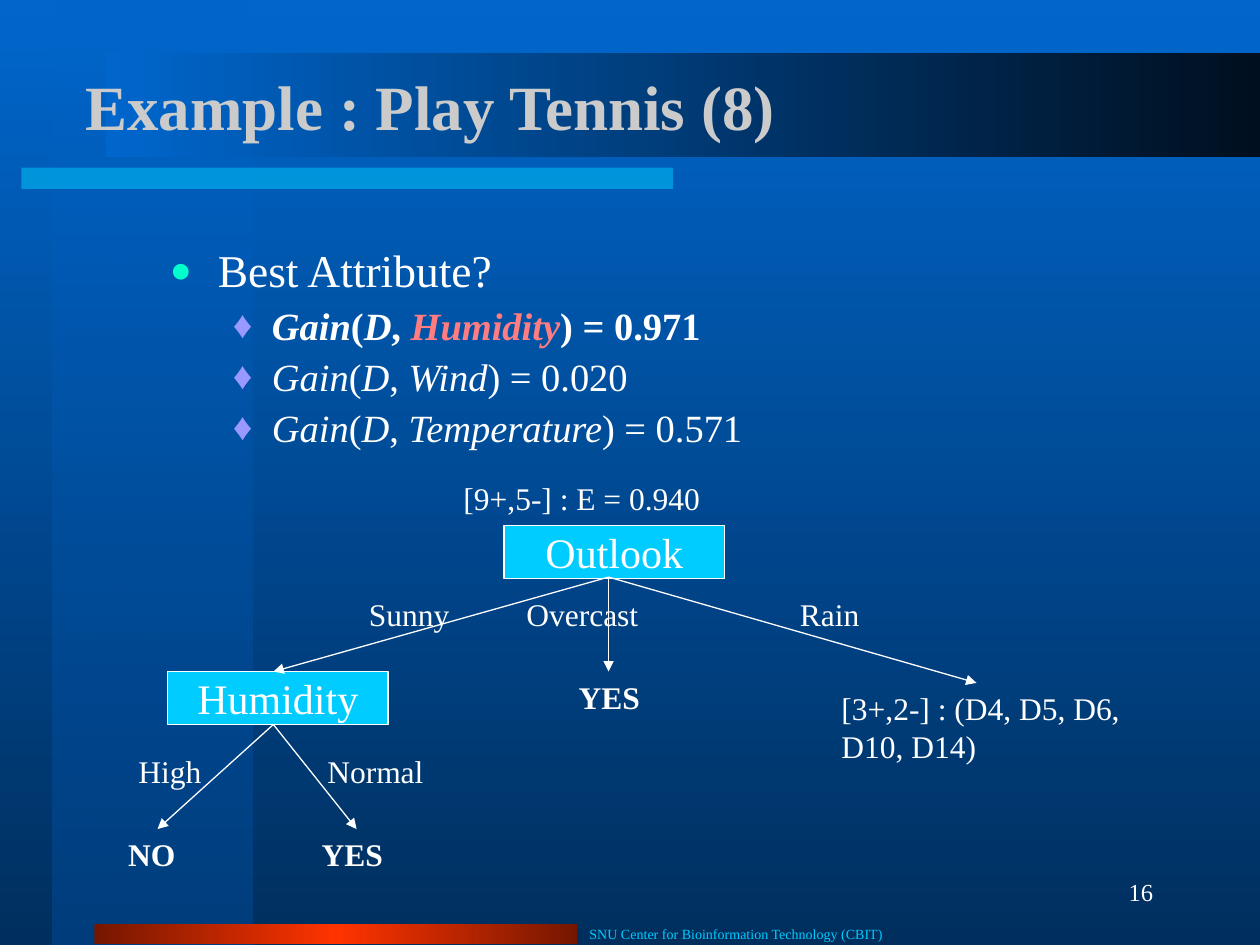
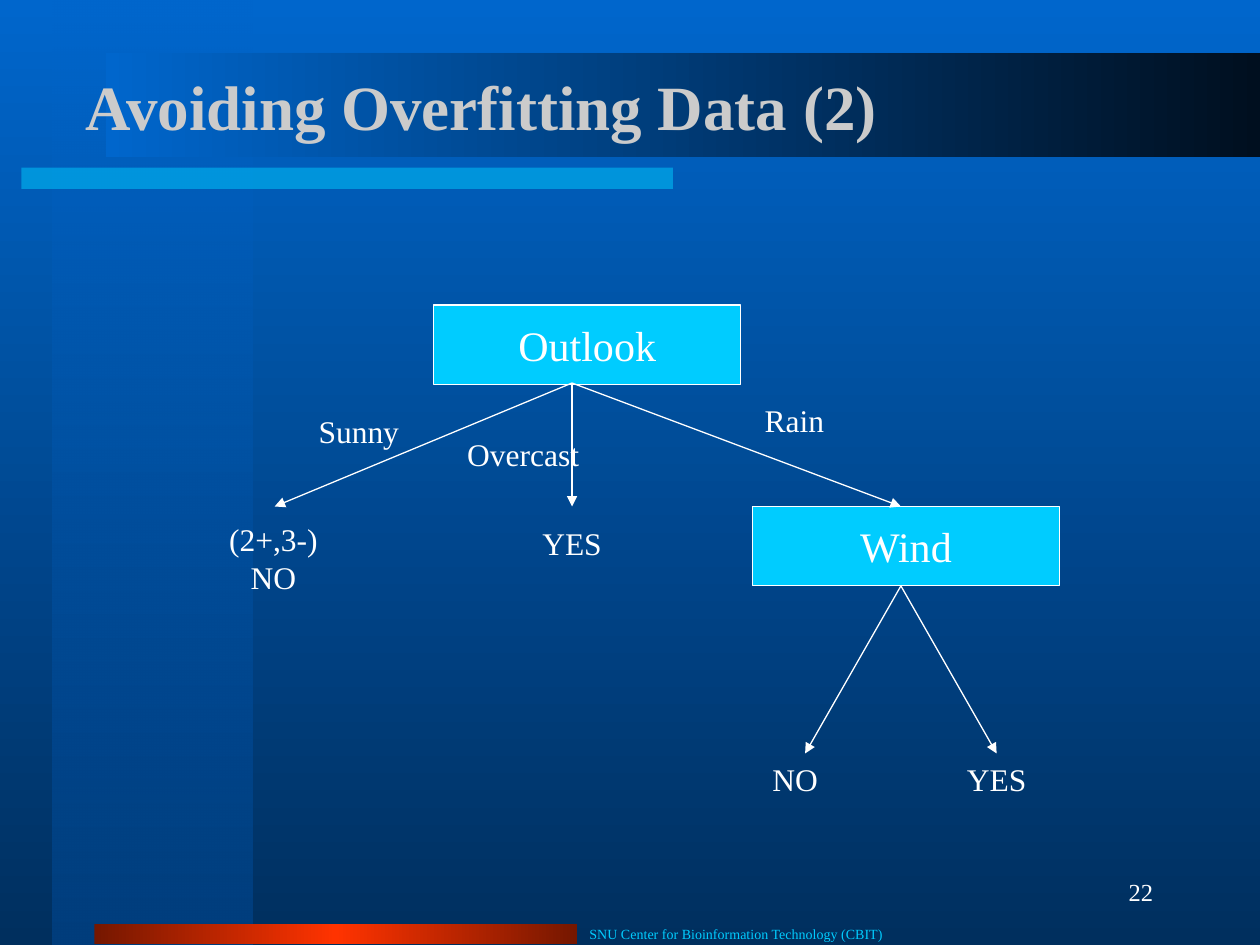
"""Build two decision tree slides that share one background, title style and footer."""
from lxml.etree import SubElement
from pptx import Presentation
from pptx.dml.color import RGBColor as Rgb
from pptx.enum.shapes import MSO_CONNECTOR as Connector, MSO_SHAPE as Shape
from pptx.enum.text import MSO_ANCHOR as Anchor, PP_ALIGN as Align
from pptx.oxml.ns import qn
from pptx.util import Inches, Pt

FONT = "Times New Roman"
COLORS = {
    "sky": "0066CC", "navy": "002F5E", "column": "003E7D", "night": "000F1F",
    "cyan": "00CCFF", "ember": "751700", "flame": "FF3300", "title": "CBCBCB",
    "white": "FFFFFF", "mint": "00FFCC", "lilac": "9999FF", "coral": "FF7C80",
}
LEFT, CENTER, RIGHT = Align.LEFT, Align.CENTER, Align.RIGHT


def paint_gradient(fill, element, stops, angle):
    """Fill with (position, colour, opacity) stops."""
    fill.gradient()
    fill.gradient_angle = angle
    stop_list = next(element.iter(qn("a:gsLst")))
    for old_stop in list(stop_list):
        stop_list.remove(old_stop)
    for position, color, opacity in stops:
        stop = SubElement(stop_list, qn("a:gs"), pos=str(position * 1000))
        tint = SubElement(stop, qn("a:srgbClr"), val=COLORS[color])
        if opacity < 100:
            SubElement(tint, qn("a:alpha"), val=str(opacity * 1000))


def write_text(shape, text, size, color="white", align=LEFT, bold=False, anchor=Anchor.TOP, wrap=True):
    """Put one paragraph per line of text into the shape."""
    frame = shape.text_frame
    frame.word_wrap = wrap
    frame.vertical_anchor = anchor
    frame.text = text
    for para in frame.paragraphs:
        para.alignment = align
        para.font.name = FONT
        para.font.size = Pt(size)
        para.font.bold = bold
        para.font.color.rgb = Rgb.from_string(COLORS[color])


BANDS = [
    ((0.42, 0, 1.58, 7.5), [(0, "sky", 50), (100, "column", 100)], 270),
    ((0.17, 1.33, 5.17, 0.17), [(0, "cyan", 50), (100, "cyan", 50)], 0),
    ((0.75, 7.33, 3.83, 0.16), [(0, "ember", 100), (50, "flame", 100), (100, "ember", 100)], 180),
    ((0.84, 0.42, 9.16, 0.83), [(0, "night", 100), (100, "sky", 100)], 180),
]
GAINS = [("Humidity", "0.971"), ("Wind", "0.020"), ("Temperature", "0.571")]
SLIDES = [
    {
        "title": "Example : Play Tennis (8)",
        "number": "16",
        "gains": GAINS,
        "node_size": (1.75, 0.42),
        "nodes": [("Outlook", 4, 4.17), ("Humidity", 1.33, 5.33)],
        "branches": [
            ((4.83, 4.58), [(2.17, 5.33), (4.83, 5.33), (7.75, 5.42)]),
            ((2.17, 5.75), [(1.25, 6.58), (2.83, 6.58)]),
        ],
        "labels": [
            ("[9+,5-] : E = 0.940", 3.58, 3.75, 2.42, LEFT),
            ("Sunny", 2.83, 4.67, 1, LEFT),
            ("Overcast", 4.08, 4.67, 1.17, LEFT),
            ("Rain", 6.25, 4.67, 1, LEFT),
            ("[3+,2-] : (D4, D5, D6, D10, D14)", 6.58, 5.42, 2.42, LEFT),
            ("High", 1, 5.92, 1, LEFT),
            ("Normal", 2.5, 5.92, 1, LEFT),
        ],
        "leaves_bold": True,
        "leaves": [
            ("YES", 3.67, 5.33, 2.33, CENTER),
            ("NO", 0.83, 6.58, 0.75, CENTER),
            ("YES", 2.42, 6.58, 0.75, CENTER),
        ],
    },
    {
        "title": "Avoiding Overfitting Data (2)",
        "number": "22",
        "gains": [],
        "node_size": (2.44, 0.63),
        "nodes": [("Outlook", 3.44, 2.42), ("Wind", 5.97, 4.02)],
        "branches": [
            ((4.54, 3.04), [(2.18, 4.02), (4.54, 4.02), (7.15, 4.02)]),
            ((7.15, 4.65), [(6.39, 5.98), (7.91, 5.98)]),
        ],
        "labels": [
            ("Sunny", 2.43, 3.22, 0.93, LEFT),
            ("Overcast", 3.61, 3.4, 1.18, LEFT),
            ("Rain", 5.97, 3.13, 1.18, LEFT),
        ],
        "leaves_bold": False,
        "leaves": [
            ("(2+,3-)\nNO", 1.58, 4.08, 1.18, CENTER),
            ("YES", 3.95, 4.11, 1.18, CENTER),
            ("NO", 5.72, 5.98, 1.18, CENTER),
            ("YES", 7.32, 5.98, 1.18, CENTER),
        ],
    },
]

deck = Presentation()
deck.slide_width, deck.slide_height = Inches(10), Inches(7.5)

for content in SLIDES:
    page = deck.slides.add_slide(deck.slide_layouts[6])
    shapes = page.shapes
    paint_gradient(page.background.fill, page.element, [(0, "sky", 100), (100, "navy", 100)], 270)
    for place, stops, angle in BANDS:
        band = shapes.add_shape(Shape.RECTANGLE, *map(Inches, place))
        band.shadow.inherit = False
        band.line.fill.background()
        paint_gradient(band.fill, band.element, stops, angle)

    title = shapes.add_textbox(Inches(0.58), Inches(0.25), Inches(8.92), Inches(1.17))
    write_text(title, content["title"], 36, "title", bold=True, anchor=Anchor.MIDDLE)

    if content["gains"]:
        body = shapes.add_textbox(Inches(1.25), Inches(1.92), Inches(6.08), Inches(1.79))
        frame = body.text_frame
        frame.word_wrap = True
        rows = [([("Best Attribute?", False)], 26, False, 0.38, 0.38, "mint", 80, "●")]
        for attribute, gain in content["gains"]:
            spans = [("Gain", True), ("(", False), ("D", True), (", ", False),
                     (attribute, True), (f") = {gain}", False)]
            rows.append((spans, 22, attribute == "Humidity", 0.81, 0.31, "lilac", 100, "♦"))
        for index, (spans, size, bold, margin, hanging, color, percent, bullet) in enumerate(rows):
            para = frame.add_paragraph() if index else frame.paragraphs[0]
            settings = para._p.get_or_add_pPr()
            settings.set("marL", str(Inches(margin)))
            settings.set("indent", str(-Inches(hanging)))
            bullet_color = SubElement(settings, qn("a:buClr"))
            SubElement(bullet_color, qn("a:srgbClr"), val=COLORS[color])
            SubElement(settings, qn("a:buSzPct"), val=str(percent * 1000))
            SubElement(settings, qn("a:buFont"), typeface=FONT)
            SubElement(settings, qn("a:buChar"), char=bullet)
            para.line_spacing = 0.9
            if index:
                para.level = 1
                para.space_before = Pt(5.5)
            para.font.name = FONT
            para.font.size = Pt(size)
            para.font.bold = bold
            para.font.color.rgb = Rgb.from_string(COLORS["white"])
            for text, italic in spans:
                span = para.add_run()
                span.text = text
                span.font.italic = italic
                if text == "Humidity":
                    span.font.color.rgb = Rgb.from_string(COLORS["coral"])

    for name, left, top in content["nodes"]:
        node = shapes.add_shape(Shape.RECTANGLE, *map(Inches, (left, top, *content["node_size"])))
        node.shadow.inherit = False
        node.fill.solid()
        node.fill.fore_color.rgb = Rgb.from_string(COLORS["cyan"])
        node.line.color.rgb = Rgb.from_string(COLORS["white"])
        node.line.width = Pt(0.75)
        write_text(node, name, 24, align=CENTER, anchor=Anchor.MIDDLE, wrap=False)

    for start, ends in content["branches"]:
        for end in ends:
            arrow = shapes.add_connector(Connector.STRAIGHT, *map(Inches, (*start, *end)))
            arrow.line.color.rgb = Rgb.from_string(COLORS["white"])
            arrow.line.width = Pt(0.75)
            SubElement(arrow.line._get_or_add_ln(), qn("a:tailEnd"), type="triangle")
            SubElement(arrow.element.spPr, qn("a:effectLst"))

    for group, bold in (("labels", False), ("leaves", content["leaves_bold"])):
        for text, left, top, width, align in content[group]:
            height = 0.7 if "\n" in text or len(text) > 25 else 0.4
            box = shapes.add_textbox(*map(Inches, (left, top, width, height)))
            write_text(box, text, 18, align=align, bold=bold)

    footer = shapes.add_textbox(Inches(4.58), Inches(7.33), Inches(3.17), Inches(0.17))
    write_text(footer, "SNU Center for Bioinformation Technology (CBIT)", 8, "cyan", anchor=Anchor.MIDDLE)
    number = shapes.add_textbox(Inches(7.17), Inches(6.83), Inches(2.08), Inches(0.5))
    write_text(number, content["number"], 14, align=RIGHT, anchor=Anchor.MIDDLE)

deck.save("out.pptx")
